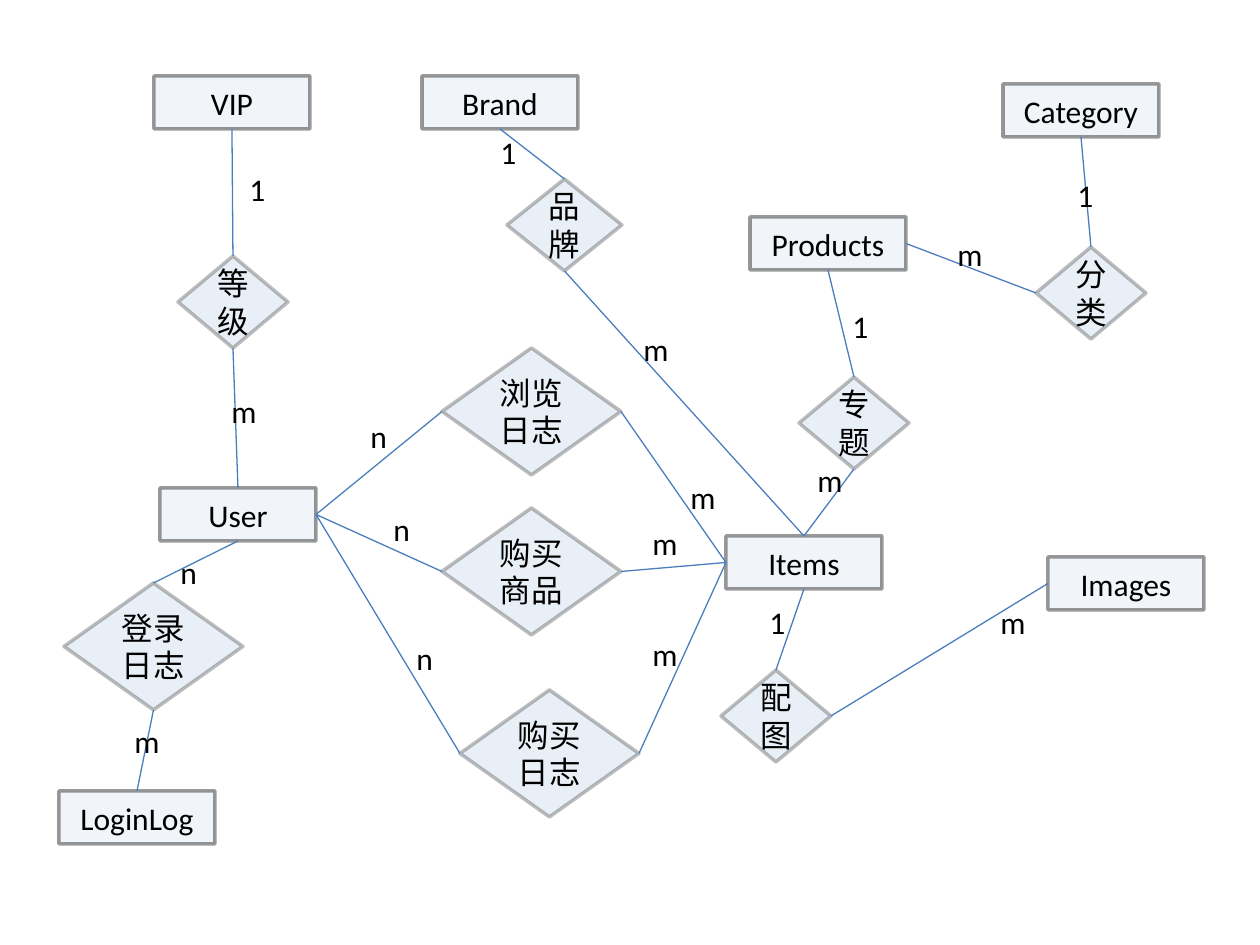
from lxml import etree
from pptx import Presentation
from pptx import util as u
from pptx.dml.color import RGBColor
from pptx.enum import shapes, text
from pptx.oxml.ns import qn

PX = 914400 // 126
BLUE = RGBColor(0x4F, 0x81, 0xBD)
LINK_BLUE = RGBColor(0x4B, 0x7E, 0xBC)
BLACK = RGBColor(0, 0, 0)
FONT = {"name": "Calibri", "size": u.Pt(18)}
TOP, LEFT, BOTTOM, RIGHT = range(4)

ENTITY_STYLE = {"kind": shapes.MSO_SHAPE.RECTANGLE, "fill": 8, "line": 40}
RELATION_STYLE = {"kind": shapes.MSO_SHAPE.DIAMOND, "fill": 12, "line": 26}
ENTITY, SMALL, BRAND_SIZE, LARGE = (156, 53), (110, 92), (115, 92), (179, 127)
LABEL = (48, 50)

ENTITIES = {
    "VIP": (154, 76), "Brand": (422, 76), "Category": (1003, 84),
    "Products": (750, 217), "User": (160, 488), "Items": (726, 536),
    "Images": (1048, 557), "LoginLog": (59, 791),
}
RELATIONS = {
    "等级": (178, 256, *SMALL), "品牌": (507, 179, *BRAND_SIZE),
    "专题": (799, 377, *SMALL), "分类": (1036, 247, *SMALL),
    "配图": (721, 670, *SMALL), "浏览日志": (442, 348, *LARGE),
    "购买商品": (442, 508, *LARGE), "购买日志": (460, 690, *LARGE),
    "登录日志": (64, 583, *LARGE),
}
# relation, its side, entity, its side, cardinality, label position
LINKS = [
    ("等级", TOP, "VIP", BOTTOM, "1", (237, 164)),
    ("等级", BOTTOM, "User", TOP, "m", (219, 386)),
    ("品牌", TOP, "Brand", BOTTOM, "1", (488, 127)),
    ("品牌", BOTTOM, "Items", TOP, "m", (631, 324)),
    ("专题", TOP, "Products", BOTTOM, "1", (840, 301)),
    ("专题", BOTTOM, "Items", TOP, "m", (805, 455)),
    ("分类", TOP, "Category", BOTTOM, "1", (1065, 170)),
    ("分类", LEFT, "Products", RIGHT, "m", (945, 229)),
    ("配图", TOP, "Items", BOTTOM, "1", (757, 597)),
    ("配图", RIGHT, "Images", LEFT, "m", (988, 597)),
    ("浏览日志", LEFT, "User", RIGHT, "n", (358, 411)),
    ("浏览日志", RIGHT, "Items", LEFT, "m", (678, 472)),
    ("购买商品", LEFT, "User", RIGHT, "n", (381, 504)),
    ("购买商品", RIGHT, "Items", LEFT, "m", (640, 518)),
    ("购买日志", LEFT, "User", RIGHT, "n", (404, 633)),
    ("购买日志", RIGHT, "Items", LEFT, "m", (640, 629)),
    ("登录日志", TOP, "User", BOTTOM, "n", (168, 547)),
    ("登录日志", BOTTOM, "LoginLog", TOP, "m", (122, 716)),
]


def emu(*lengths):
    return [length * PX for length in lengths]


def set_opacity(parent, percent):
    for color in parent.iter(qn("a:srgbClr")):
        etree.SubElement(color, qn("a:alpha"), val=str(percent * 1000))


def write(shape, words, align):
    frame = shape.text_frame
    frame.word_wrap = True
    paragraph = frame.paragraphs[0]
    paragraph.alignment = align
    run = paragraph.add_run()
    run.text = words
    for name, value in FONT.items():
        setattr(run.font, name, value)
    run.font.color.rgb = BLACK
    return frame


def add_node(slide, words, box, style):
    shape = slide.shapes.add_shape(style["kind"], *emu(*box))
    shape.shadow.inherit = False
    shape.fill.solid()
    shape.fill.fore_color.rgb = BLUE
    set_opacity(shape.fill._xPr.find(qn("a:solidFill")), style["fill"])
    shape.line.color.rgb = BLACK
    shape.line.width = u.Pt(2)
    set_opacity(shape.line._ln, style["line"])
    frame = write(shape, words, text.PP_ALIGN.CENTER)
    frame.vertical_anchor = text.MSO_ANCHOR.MIDDLE
    return shape


def add_link(slide, start, start_side, end, end_side):
    connector = slide.shapes.add_connector(shapes.MSO_CONNECTOR.STRAIGHT, 0, 0, 0, 0)
    connector.begin_connect(start, start_side)
    connector.end_connect(end, end_side)
    connector.line.color.rgb = LINK_BLUE
    connector.line.width = u.Pt(0.75)
    etree.SubElement(connector._element.spPr, qn("a:effectLst"))


def add_label(slide, words, box):
    label = slide.shapes.add_textbox(*emu(*box))
    write(label, words, text.PP_ALIGN.LEFT)


def add_entity_diagram(slide, left, top):
    nodes = {}
    for name, (x, y) in ENTITIES.items():
        nodes[name] = add_node(slide, name, (left + x, top + y, *ENTITY), ENTITY_STYLE)
    for name, (x, y, *size) in RELATIONS.items():
        nodes[name] = add_node(slide, name, (left + x, top + y, *size), RELATION_STYLE)
    for relation, side, entity, entity_side, *_ in LINKS:
        add_link(slide, nodes[relation], side, nodes[entity], entity_side)
    for *_, cardinality, (x, y) in LINKS:
        add_label(slide, cardinality, (left + x, top + y, *LABEL))


def main():
    presentation = Presentation()
    presentation.slide_width, presentation.slide_height = emu(1260, 945)
    slide = presentation.slides.add_slide(presentation.slide_layouts[6])
    add_entity_diagram(slide, 0, 0)
    presentation.save("out.pptx")


if __name__ == "__main__":
    main()
